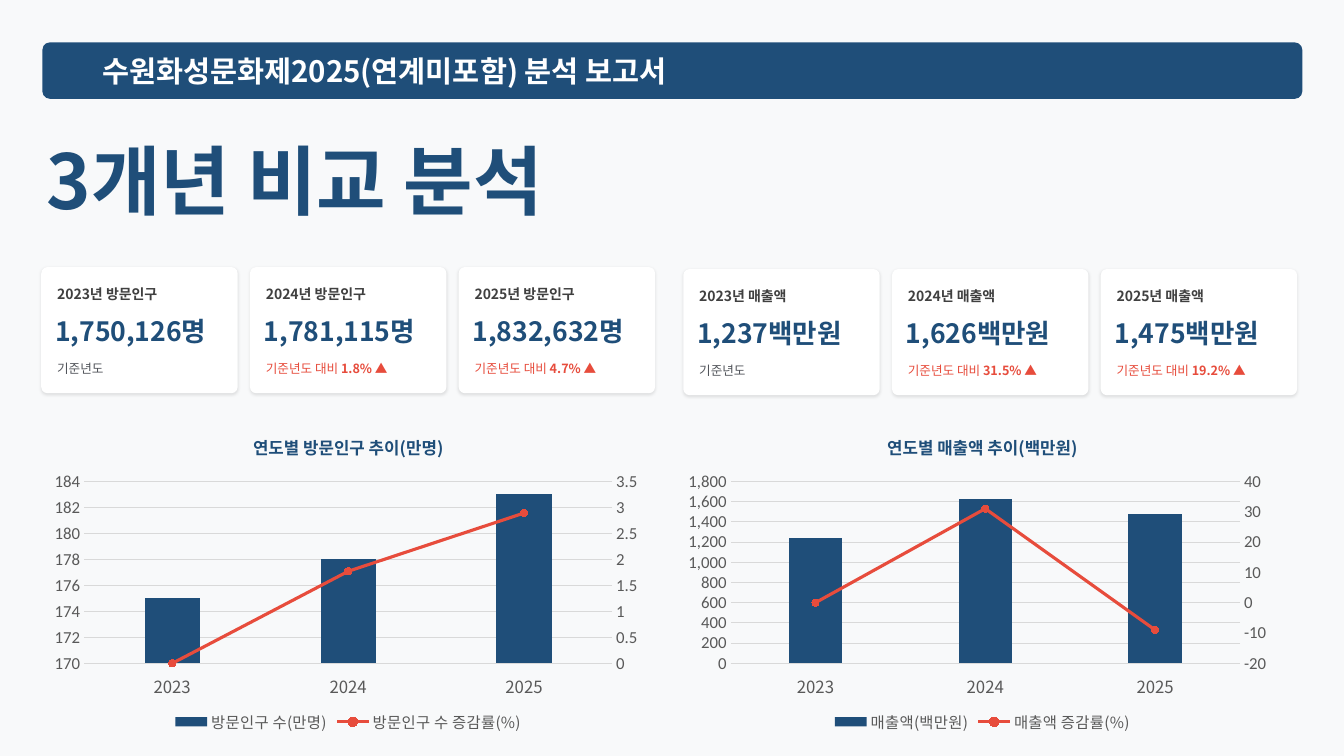
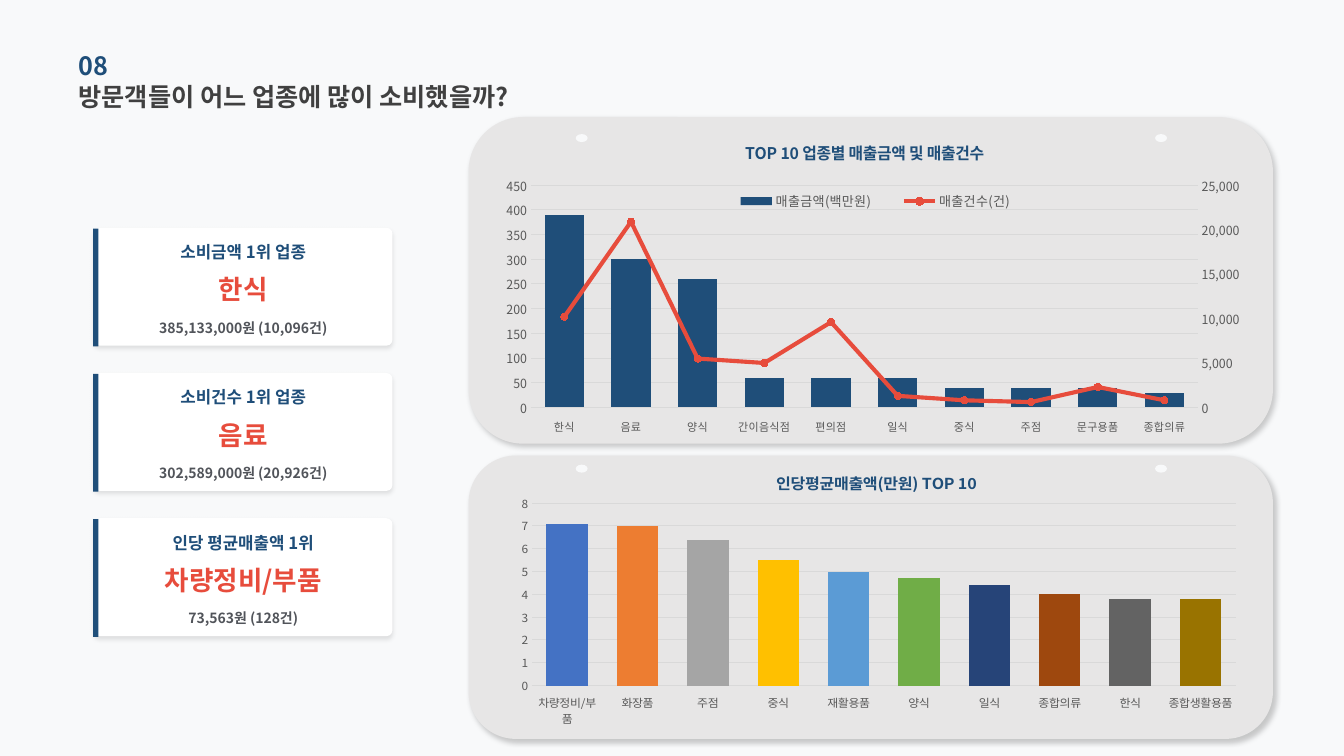
from dataclasses import dataclass
from typing import NamedTuple

from pptx import Presentation
from pptx.chart.axis import ValueAxis
from pptx.chart.data import CategoryChartData
from pptx.dml.color import RGBColor
from pptx.enum.chart import XL_CHART_TYPE, XL_LEGEND_POSITION, XL_MARKER_STYLE, XL_TICK_LABEL_POSITION, XL_TICK_MARK
from pptx.enum.shapes import MSO_SHAPE
from pptx.enum.text import MSO_ANCHOR, MSO_AUTO_SIZE, PP_ALIGN
from pptx.oxml import parse_xml
from pptx.oxml.ns import nsdecls, qn
from pptx.util import Cm, Pt


@dataclass(frozen=True)
class Theme:
    """Colours, fonts and type sizes shared by the slides."""

    page: str = "F8F9FA"
    navy: str = "1F4E79"
    red: str = "E74C3C"
    white: str = "FFFFFF"
    panel: str = "E7E6E6"
    dark: str = "404040"
    muted: str = "51545A"
    axis: str = "595959"
    grid: str = "D9D9D9"
    bars: tuple = ("4472C4", "ED7D31", "A5A5A5", "FFC000", "5B9BD5",
                   "70AD47", "264478", "9E480E", "636363", "997300")
    font: str = "Noto Sans CJK KR"
    number_font: str = "Calibri"
    hero: float = 54
    band: float = 21
    value: float = 19
    heading: float = 18
    label: float = 12
    body: float = 10
    note: float = 9


THEME = Theme()


class Box(NamedTuple):
    """A rectangle in centimetres."""

    left: float
    top: float
    width: float
    height: float

    def inside(self, left, top, width, height):
        """Return a box placed relative to this one."""
        return Box(self.left + left, self.top + top, width, height)

    def lengths(self):
        """Return the four lengths for python-pptx."""
        return [Cm(value) for value in self]


@dataclass(frozen=True)
class ChartStyle:
    """What differs between the charts: sizes, scales and plot area."""

    title_size: float
    category_size: float
    value_size: float
    scale: tuple
    plot_area: tuple
    number_font: str = THEME.font
    number_format: str = "#,##0"
    gap: int = 70
    overlap: int = -27
    line_scale: tuple = ()
    line_format: str = "#,##0"
    line_width: float = 2.25
    legend_size: float = 11
    legend_area: tuple = ()


def style_font(font, size, color, bold=False, name=THEME.font):
    """Set size, colour, weight and both the Latin and Korean typeface."""
    font.size, font.bold, font.name = Pt(size), bold, name
    font.color.rgb = RGBColor.from_string(color)
    font._rPr.append(parse_xml(f'<a:ea {nsdecls("a")} typeface="{name}"/>'))


def write(shape, text, size, color, bold=True, align=PP_ALIGN.LEFT, margin=0, strong=""):
    """Write one paragraph, with an optional bold ending."""
    frame = shape.text_frame
    frame.text = text
    frame.word_wrap = True
    frame.auto_size = MSO_AUTO_SIZE.NONE
    frame.vertical_anchor = MSO_ANCHOR.MIDDLE
    frame.margin_left = Cm(margin)
    frame.margin_top = frame.margin_right = frame.margin_bottom = 0
    paragraph = frame.paragraphs[0]
    paragraph.alignment = align
    style_font(paragraph.runs[0].font, size, color, bold)
    if strong:
        run = paragraph.add_run()
        run.text = strong
        style_font(run.font, size, color, True)


def add_text(shapes, box, *args, **options):
    """Add a text box."""
    write(shapes.add_textbox(*box.lengths()), *args, **options)


def add_block(shapes, kind, box, color, rounding=None, shadow=None):
    """Add a filled shape; shadow is opacity, blur, distance and angle."""
    shape = shapes.add_shape(kind, *box.lengths())
    shape.fill.solid()
    shape.fill.fore_color.rgb = RGBColor.from_string(color)
    shape.line.fill.background()
    shape.shadow.inherit = False
    if rounding is not None:
        shape.adjustments[0] = rounding
    if shadow:
        opacity, blur, distance, angle = shadow
        shape._element.spPr.find(qn("a:effectLst")).append(parse_xml(
            f'<a:outerShdw {nsdecls("a")} blurRad="{Pt(blur)}" dist="{Pt(distance)}" dir="{angle * 60000}" '
            f'algn="t" rotWithShape="0"><a:srgbClr val="000000"><a:alpha val="{opacity * 1000}"/>'
            '</a:srgbClr></a:outerShdw>'))
    return shape


def place_title(slide, box, text, size, color):
    """Move and format the title placeholder."""
    title = slide.shapes.title
    title.left, title.top, title.width, title.height = box.lengths()
    write(title, text, size, color)


def manual_layout(area, inner=False):
    """Return a layout element for fractions of the chart."""
    left, top, width, height = area
    target = '<c:layoutTarget val="inner"/>' if inner else ""
    return parse_xml(
        f'<c:layout {nsdecls("c")}><c:manualLayout>{target}<c:xMode val="edge"/><c:yMode val="edge"/>'
        f'<c:x val="{left}"/><c:y val="{top}"/><c:w val="{width}"/><c:h val="{height}"/>'
        '</c:manualLayout></c:layout>')


def style_value_axis(axis, scale, style, number_format):
    """Set the scale and labels of a value axis."""
    axis.minimum_scale, axis.maximum_scale, axis.major_unit = scale
    axis.major_tick_mark = XL_TICK_MARK.NONE
    axis.format.line.fill.background()
    axis.tick_labels.number_format = number_format
    axis.tick_labels.number_format_is_linked = False
    style_font(axis.tick_labels.font, style.value_size, THEME.axis, name=style.number_font)


def move_to_line(chart, style):
    """Turn the second series into a line on a right-hand axis."""
    plot_area = chart.element.find(".//" + qn("c:plotArea"))
    columns = plot_area.find(qn("c:barChart"))
    series = columns.findall(qn("c:ser"))[1]
    for column_only in series.findall(qn("c:invertIfNegative")):
        series.remove(column_only)
    lines = parse_xml(
        f'<c:lineChart {nsdecls("c")}><c:grouping val="standard"/><c:varyColors val="0"/>'
        '<c:marker val="1"/><c:axId val="5001"/><c:axId val="5002"/></c:lineChart>')
    lines.insert(2, series)
    columns.addnext(lines)
    value_axis = parse_xml(
        f'<c:valAx {nsdecls("c")}><c:axId val="5002"/><c:scaling/><c:delete val="0"/><c:axPos val="r"/>'
        '<c:majorTickMark val="none"/><c:minorTickMark val="none"/><c:tickLblPos val="nextTo"/>'
        '<c:crossAx val="5001"/><c:crosses val="max"/></c:valAx>')
    category_axis = parse_xml(
        f'<c:catAx {nsdecls("c")}><c:axId val="5001"/><c:scaling/><c:delete val="1"/><c:axPos val="b"/>'
        '<c:crossAx val="5002"/><c:crosses val="autoZero"/></c:catAx>')
    plot_area.findall(qn("c:valAx"))[-1].addnext(value_axis)
    value_axis.addnext(category_axis)
    style_value_axis(ValueAxis(value_axis), style.line_scale, style, style.line_format)
    line = chart.plots[1].series[0]
    line.smooth = False
    line.format.line.width = Pt(style.line_width)
    line.marker.style, line.marker.size = XL_MARKER_STYLE.CIRCLE, 5
    line.marker.format.fill.solid()
    for color in (line.format.line.color, line.marker.format.line.color, line.marker.format.fill.fore_color):
        color.rgb = RGBColor.from_string(THEME.red)


def add_legend(chart, style):
    """Add a legend at the bottom, or over the plot when an area is given."""
    chart.has_legend = True
    legend = chart.legend
    legend.position = XL_LEGEND_POSITION.TOP if style.legend_area else XL_LEGEND_POSITION.BOTTOM
    legend.include_in_layout = False
    style_font(legend.font, style.legend_size, THEME.axis)
    if style.legend_area:
        for layout in legend._element.findall(qn("c:layout")):
            legend._element.remove(layout)
        legend._element.find(qn("c:legendPos")).addnext(manual_layout(style.legend_area))


def add_column_chart(slide, box, title, categories, series, style):
    """Add a column chart, with a line when there is a second series."""
    data = CategoryChartData()
    data.categories = categories
    for name, values in series:
        data.add_series(name, values)
    chart = slide.shapes.add_chart(XL_CHART_TYPE.COLUMN_CLUSTERED, *box.lengths(), data).chart
    style_font(chart.font, THEME.body, "000000", name=THEME.number_font)
    chart.has_title = True
    chart.chart_title.text_frame.text = title
    style_font(chart.chart_title.text_frame.paragraphs[0].runs[0].font, style.title_size, THEME.navy, True)
    plot = chart.plots[0]
    plot.gap_width, plot.overlap, plot.vary_by_categories = style.gap, style.overlap, False
    columns = plot.series[0]
    columns.format.fill.solid()
    columns.format.fill.fore_color.rgb = RGBColor.from_string(THEME.navy)
    grid = chart.value_axis.major_gridlines.format.line
    for line in (grid, chart.category_axis.format.line):
        line.width = Pt(0.75)
        line.color.rgb = RGBColor.from_string(THEME.grid)
    chart.category_axis.major_tick_mark = XL_TICK_MARK.NONE
    chart.category_axis.tick_label_position = XL_TICK_LABEL_POSITION.LOW
    style_font(chart.category_axis.tick_labels.font, style.category_size, THEME.axis)
    style_value_axis(chart.value_axis, style.scale, style, style.number_format)
    plot_area = chart.element.find(".//" + qn("c:plotArea"))
    for layout in plot_area.findall(qn("c:layout")):
        plot_area.remove(layout)
    plot_area.insert(0, manual_layout(style.plot_area, inner=True))
    chart.has_legend = False
    if len(series) > 1:
        move_to_line(chart, style)
        add_legend(chart, style)
    else:
        for index, color in enumerate(THEME.bars):
            fill = columns.points[index].format.fill
            fill.solid()
            fill.fore_color.rgb = RGBColor.from_string(color)


def add_year_card(slide, box, label, value, growth, label_width):
    """Add a card with one year's figure and its growth."""
    shapes = slide.shapes
    add_block(shapes, MSO_SHAPE.ROUNDED_RECTANGLE, box, THEME.white, 0.05, (10, 2, 1, 90))
    add_text(shapes, box.inside(0.4, 0.46, label_width, 0.43), label, THEME.body, THEME.dark)
    add_text(shapes, box.inside(0.35, 1.24, 4.95, 0.74), value, THEME.value, THEME.navy)
    note, color = ("기준년도 대비 ", THEME.red) if growth else ("기준년도", THEME.muted)
    add_text(shapes, box.inside(0.4, 2.3, 4.5, 0.53), note, THEME.note, color, bold=False, strong=growth)


def add_rank_card(slide, box, label, value, detail):
    """Add a grouped card with a winner, and the bar on its left edge."""
    shapes = slide.shapes.add_group_shape().shapes
    add_block(shapes, MSO_SHAPE.ROUNDED_RECTANGLE, box, THEME.white, 0.05, (10, 3, 2, 90))
    rows = ((0.33, 0.56, label, THEME.label, THEME.navy), (1.12, 0.86, value, THEME.value, THEME.red),
            (2.3, 0.43, detail, THEME.body, THEME.muted))
    for top, height, text, size, color in rows:
        add_text(shapes, box.inside(0, top, box.width, height), text, size, color, align=PP_ALIGN.CENTER)
    add_block(slide.shapes, MSO_SHAPE.RECTANGLE, box.inside(-0.02, 0.02, 0.13, box.height), THEME.navy)


def add_chart_panel(slide, box, pin_top, chart_box, *chart_parts):
    """Add a grey panel with a chart and two pins."""
    add_block(slide.shapes, MSO_SHAPE.ROUNDED_RECTANGLE, box, THEME.panel, shadow=(20, 4, 3, 45))
    add_column_chart(slide, box.inside(*chart_box), *chart_parts)
    for left in (2.7, 17.3):
        add_block(slide.shapes, MSO_SHAPE.OVAL, box.inside(left, pin_top, 0.3, 0.2), THEME.page)


def build_comparison(slide):
    """Build the three-year comparison."""
    place_title(slide, Box(1.17, 3.12, 16.05, 2.77), "3개년 비교 분석", THEME.hero, THEME.navy)
    band = add_block(slide.shapes, MSO_SHAPE.ROUNDED_RECTANGLE, Box(1.07, 1.07, 31.75, 1.42), THEME.navy, 0.13)
    write(band, "수원화성문화제2025(연계미포함) 분석 보고서", THEME.band, THEME.white, margin=1.45)
    years = ("2023", "2024", "2025")
    shared = dict(title_size=THEME.label, category_size=12, value_size=12,
                  number_font=THEME.number_font, gap=219, overlap=0)
    halves = (
        (Box(1.04, 6.73, 15.47, 11.84), "방문인구", ("1,750,126명", "1,781,115명", "1,832,632명"),
         ("", "1.8% ▲", "4.7% ▲"), (2.84, 2.84, 2.62), (0, 3.79), "연도별 방문인구 추이(만명)",
         (("방문인구 수(만명)", (175, 178, 183)), ("방문인구 수 증감률(%)", (0, 1.77, 2.89))),
         ChartStyle(scale=(170, 184, 2), line_scale=(0, 3.5, 0.5), line_format="General",
                    plot_area=(0.07, 0.2, 0.86, 0.57), **shared)),
        (Box(17.22, 6.78, 15.47, 11.79), "매출액", ("1,237백만원", "1,626백만원", "1,475백만원"),
         ("", "31.5% ▲", "19.2% ▲"), (2.84,) * 3, (-0.2, 3.74), "연도별 매출액 추이(백만원)",
         (("매출액(백만원)", (1240, 1630, 1480)), ("매출액 증감률(%)", (0, 31, -9))),
         ChartStyle(scale=(0, 1800, 200), line_scale=(-20, 40, 10), plot_area=(0.09, 0.2, 0.83, 0.57), **shared)),
    )
    for box, measure, values, growths, label_widths, chart_place, title, series, style in halves:
        for index, year in enumerate(years):
            card = box.inside(index * 5.26, 0, 4.95, 3.18)
            add_year_card(slide, card, f"{year}년 {measure}", values[index], growths[index], label_widths[index])
        add_column_chart(slide, box.inside(*chart_place, 15.47, 8.05), title, years, series, style)


def build_spending(slide):
    """Build the spending by business type."""
    place_title(slide, Box(1.98, 1.9, 11.48, 1.04), "방문객들이 어느 업종에 많이 소비했을까?", THEME.heading, THEME.dark)
    add_text(slide.shapes, Box(1.98, 1.12, 11.48, 1.04), "08", THEME.heading, THEME.navy)
    cards = (("소비금액 1위 업종", "한식", "385,133,000원 (10,096건)"),
             ("소비건수 1위 업종", "음료", "302,589,000원 (20,926건)"),
             ("인당 평균매출액 1위", "차량정비/부품", "73,563원 (128건)"))
    for index, card in enumerate(cards):
        add_rank_card(slide, Box(2.37, 5.74 + index * 3.66, 7.52, 2.97), *card)
    add_chart_panel(
        slide, Box(11.81, 2.95, 20.27, 8.23), 0.43, (0.84, 0.2, 18.59, 8), "TOP 10 업종별 매출금액 및 매출건수",
        ("한식", "음료", "양식", "간이음식점", "편의점", "일식", "중식", "주점", "문구용품", "종합의류"),
        (("매출금액(백만원)", (390, 300, 260, 60, 60, 60, 40, 40, 40, 30)),
         ("매출건수(건)", (10200, 20900, 5500, 5000, 9600, 1300, 800, 600, 2300, 800))),
        ChartStyle(11.5, 8, 9, (0, 450, 50), (0.04, 0.19, 0.92, 0.7), line_scale=(0, 25000, 5000),
                   line_width=3, legend_size=9.5, legend_area=(0.29, 0.2, 0.45, 0.08)))
    add_chart_panel(
        slide, Box(11.81, 11.48, 20.27, 7.14), 0.23, (0.84, 0.05, 18.87, 6.78), "인당평균매출액(만원) TOP 10",
        ("차량정비/부품", "화장품", "주점", "중식", "재활용품", "양식", "일식", "종합의류", "한식", "종합생활용품"),
        (("인당평균매출액(만원)", (7.1, 7, 6.4, 5.5, 5, 4.7, 4.4, 4, 3.8, 3.8)),),
        ChartStyle(11.5, 8.5, 8.5, (0, 8, 1), (0.04, 0.18, 0.94, 0.72)))


def main():
    """Build and save the presentation."""
    presentation = Presentation()
    presentation.slide_width, presentation.slide_height = Cm(33.87), Cm(19.05)
    background = presentation.slide_master.background.fill
    background.solid()
    background.fore_color.rgb = RGBColor.from_string(THEME.page)
    for build in (build_comparison, build_spending):
        build(presentation.slides.add_slide(presentation.slide_layouts[5]))
    presentation.save("out.pptx")


if __name__ == "__main__":
    main()
